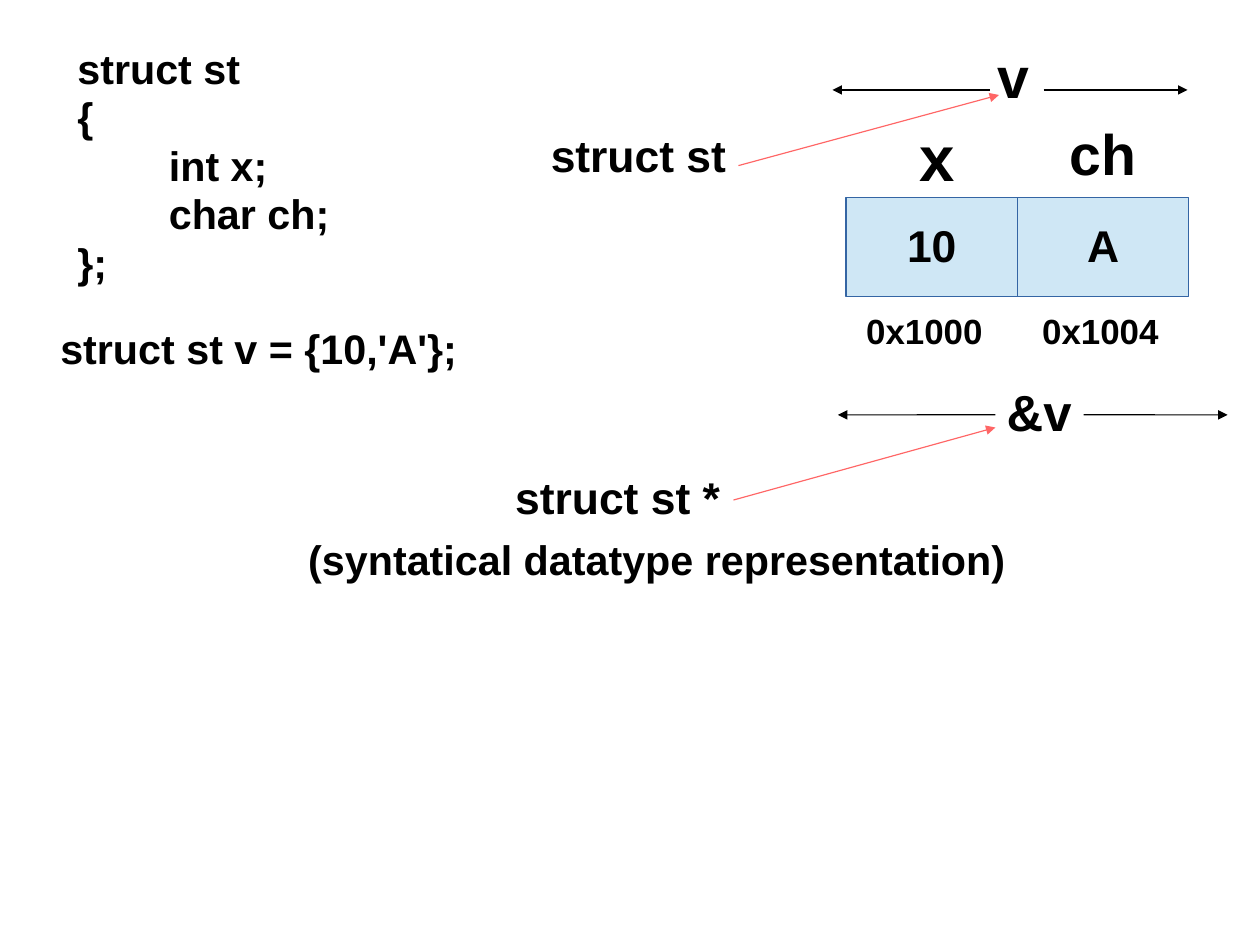
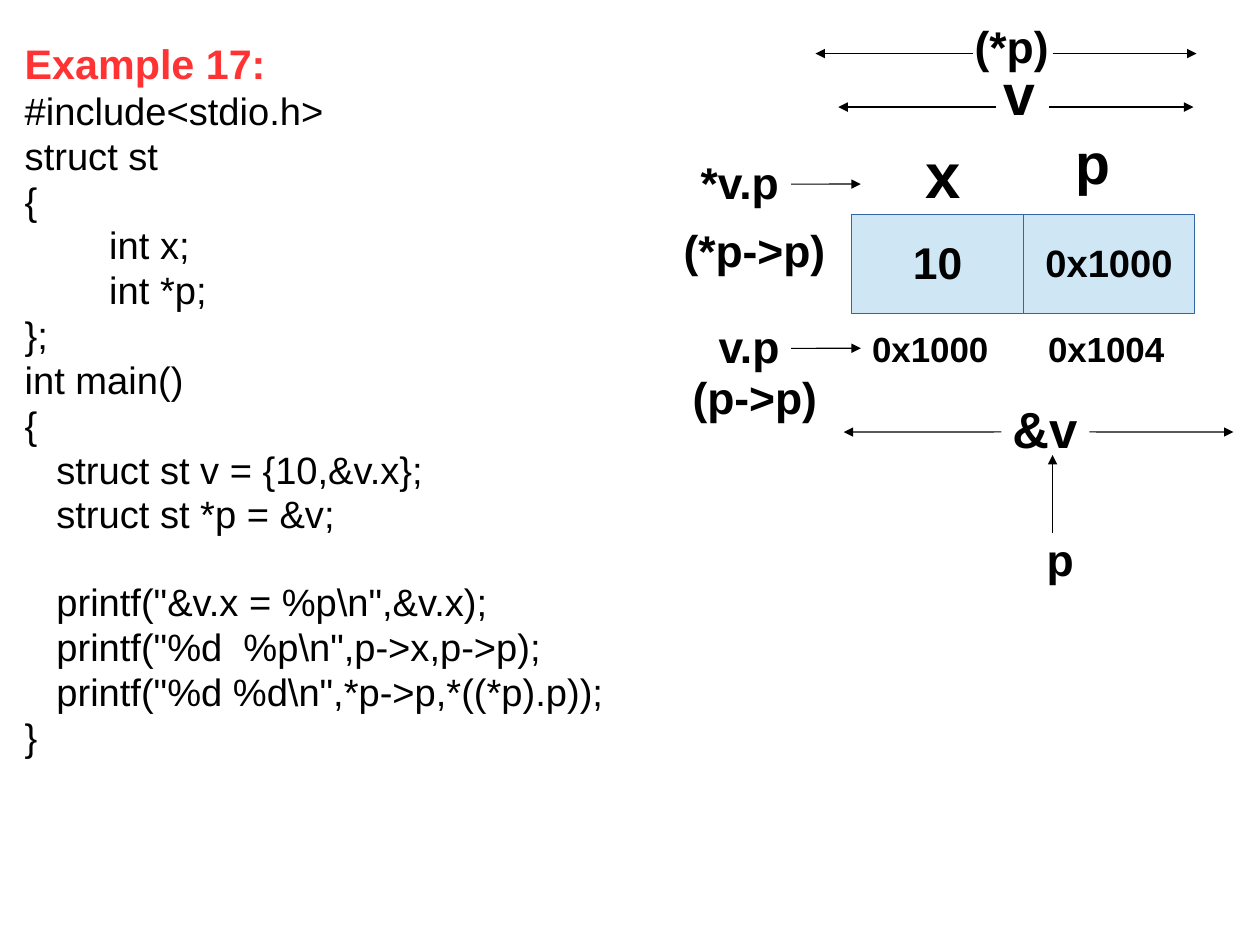
from lxml import etree
from pptx import Presentation
from pptx.dml.color import RGBColor
from pptx.enum.shapes import MSO_CONNECTOR, MSO_SHAPE
from pptx.enum.text import MSO_ANCHOR, PP_ALIGN
from pptx.oxml.ns import qn
from pptx.util import Cm, Pt

BLACK = RGBColor(0x00, 0x00, 0x00)
RED = RGBColor(0xFF, 0x33, 0x33)
PINK = RGBColor(0xFF, 0x66, 0x66)
SKY = RGBColor(0xCF, 0xE7, 0xF5)
BLUE = RGBColor(0x34, 0x65, 0xA4)
FONT = "Arial"
LEFT, CENTER = PP_ALIGN.LEFT, PP_ALIGN.CENTER
MIDDLE = MSO_ANCHOR.MIDDLE
RECT = MSO_SHAPE.RECTANGLE
STRAIGHT = MSO_CONNECTOR.STRAIGHT
WEST, EAST = 1, 3
CELL_W, CELL_H = 3.81, 2.2

STRUCT = """struct st
{
        int x;
        char ch;
};"""

HEAD = r"""#include<stdio.h>
struct st
{
        int x;
        int *p;
};
int main()
{
   struct st v = {10,&v.x};
   struct st *p = &v;"""

PRINTS = r"""   printf("&v.x = %p\n",&v.x);
   printf("%d  %p\n",p->x,p->p);
   printf("%d %d\n",*p->p,*((*p).p));
}"""


def write(frame, text, size=28, bold=True, color=BLACK, align=LEFT, gap=0):
    """Add each line of text as a paragraph, with a gap above the first."""
    for num, line in enumerate(text.split("\n")):
        para = frame.paragraphs[0] if not frame.text else frame.add_paragraph()
        para.alignment = align
        para.line_spacing = 0.98
        if gap and num == 0:
            para.space_before = Pt(gap)
        run = para.add_run()
        run.text = line
        run.font.name = FONT
        run.font.size = Pt(size)
        run.font.bold = bold
        run.font.color.rgb = color


def label(slide, text, x, y, width, size=28):
    """Add a text box as tall as its lines."""
    height = 0.25 + 0.0427 * size * len(text.split("\n"))
    box = slide.shapes.add_textbox(Cm(x), Cm(y), Cm(width), Cm(height))
    box.text_frame.word_wrap = True
    write(box.text_frame, text, size)
    return box


def cell(slide, text, x, y, size=28):
    box = slide.shapes.add_shape(RECT, Cm(x), Cm(y), Cm(CELL_W), Cm(CELL_H))
    box.shadow.inherit = False
    box.fill.solid()
    box.fill.fore_color.rgb = SKY
    box.line.color.rgb = BLUE
    box.line.width = Pt(0.75)
    box.text_frame.vertical_anchor = MIDDLE
    write(box.text_frame, text, size, align=CENTER)


def arrow(slide, start, end, color=BLACK, box=None, side=EAST):
    """Draw an arrow; a box given is joined to its start at that side."""
    points = [Cm(num) for num in (*start, *end)]
    line = slide.shapes.add_connector(STRAIGHT, *points)
    if box is not None:
        line.begin_connect(box, side)
    line.line.color.rgb = color
    line.line.width = Pt(0.75)
    tip = etree.SubElement(line.line._get_or_add_ln(), qn("a:tailEnd"))
    tip.set("type", "triangle")
    etree.SubElement(line._element.spPr, qn("a:effectLst"))


def span(slide, y, left, right, box=None):
    """Draw two arrows that point outwards from a name."""
    arrow(slide, (left, y), (left - 3.5, y), box=box, side=WEST)
    arrow(slide, (right, y), (right + 3.2, y), box=box, side=EAST)


def layout(slide, x, y, name, value, size=28, lift=0):
    """Draw the variable v in memory, with its first cell at x, y."""
    fields = (("x", "10", "0x1000", 1.39, 40, 28, 0, 0.2),
              (name, value, "0x1004", 0.91, 36, size, lift, 0.3))
    for num, field in enumerate(fields):
        title, data, place, inset, big, small, rise, edge = field
        left = x + num * CELL_W
        cell(slide, data, left, y, small)
        label(slide, title, left + inset, y - 1.8 - rise, 2, big)
        label(slide, place, left + edge, y + 2.42, 3.2, 22)
    label(slide, "v", x + 3.12, y - 3.53, 1.25, 36)
    span(slide, y - 2.39, x + 3.2, x + 4.39)
    ref = label(slide, "&v", x + 3.32, y + 4.02, 1.96, 32)
    span(slide, y + 4.83, x + 3.32, x + 5.28, ref)


def types(slide):
    layout(slide, 18.8, 4.39, "ch", "A")
    label(slide, "struct st", 11.99, 2.79, 4.5)
    arrow(slide, (16.41, 3.68), (22.2, 2.11), PINK)
    star = label(slide, "struct st *", 11.2, 10.39, 5.1)
    arrow(slide, (16.3, 11.11), (22.12, 9.5), PINK, star)
    label(slide, STRUCT, 1.47, 0.89, 6.93, 26)
    label(slide, "struct st v = {10,'A'};", 1.09, 7.11, 9.8, 26)
    label(slide, "(syntatical datatype representation)", 6.6, 11.81, 16.2, 26)


def example(slide):
    layout(slide, 18.93, 4.77, "p", "0x1000", 24, 0.18)
    label(slide, "(*p)", 21.41, 0.36, 2.2)
    span(slide, 1.19, 21.62, 23.39)
    for text, x, y, width in (("*v.p", 15.32, 3.37, 2.26),
                              ("v.p", 15.72, 7.02, 1.86)):
        box = label(slide, text, x, y, width)
        mid = y + 0.72
        arrow(slide, (x + width, mid), (19.13, mid), box=box)
    label(slide, "(*p->p)", 14.94, 4.88, 3.7)
    label(slide, "(p->p)", 15.14, 8.15, 3.3)
    label(slide, "p", 23.01, 11.76, 1.1)
    arrow(slide, (23.39, 11.84), (23.39, 10.11))
    code = slide.shapes.add_textbox(Cm(0.3), Cm(0.79), Cm(16.48), Cm(17))
    code.text_frame.word_wrap = True
    write(code.text_frame, "Example 17:", 26, color=RED)
    write(code.text_frame, HEAD, 24, False)
    write(code.text_frame, PRINTS, 24, False, gap=27)


def main():
    deck = Presentation()
    deck.slide_width, deck.slide_height = Cm(28), Cm(21)
    blank = deck.slide_layouts[6]
    for build in (types, example):
        build(deck.slides.add_slide(blank))
    deck.save("out.pptx")


if __name__ == "__main__":
    main()
